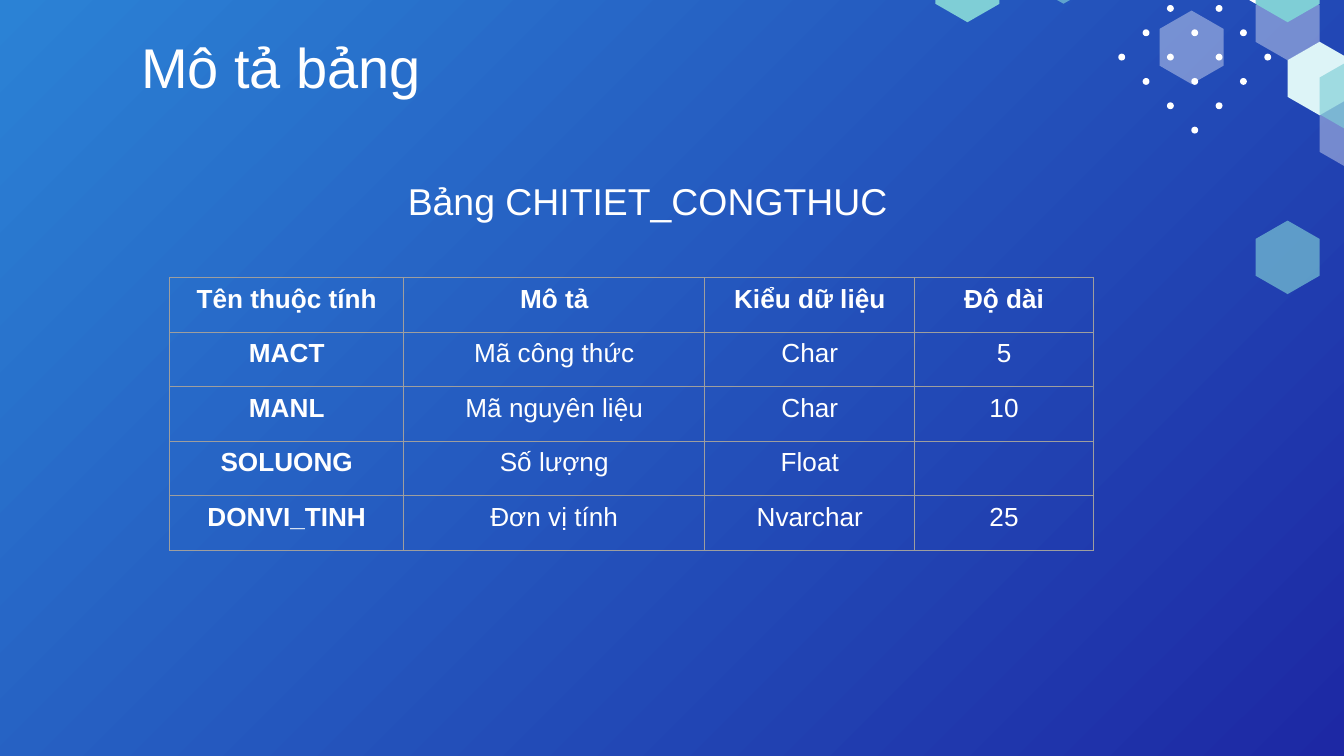
import pptx
import pptx.util
import pptx.dml.color
import pptx.enum.shapes
import pptx.enum.text
import pptx.oxml
import pptx.oxml.ns
from lxml import etree
from pptx.util import Cm

COLORS = {
    "sky": "2B82D5",
    "navy": "1D28A4",
    "white": "FFFFFF",
    "teal": "7FCED6",
    "ice": "DDF4F7",
    "border": "9E9E9E",
}
HEADERS = ["Tên thuộc tính", "Mô tả", "Kiểu dữ liệu", "Độ dài"]
ROWS = [
    ["MACT", "Mã công thức", "Char", "5"],
    ["MANL", "Mã nguyên liệu", "Char", "10"],
    ["SOLUONG", "Số lượng", "Float", ""],
    ["DONVI_TINH", "Đơn vị tính", "Nvarchar", "25"],
]
COL_WIDTHS = [4.42, 5.69, 3.97, 3.37]
HEXAGONS = [
    (10, -0.25, "white", 38),
    (9, -1.32, "white", 100),
    (3, -1.32, "teal", 65),
    (11, 0.79, "ice", 100),
    (12, 1.83, "white", 38),
    (7, 0.2, "white", 38),
    (10, -0.97, "teal", 100),
    (0, -0.97, "teal", 100),
    (12, 1.12, "teal", 65),
    (10, 4.17, "teal", 65),
]
FRAME = {
    "word_wrap": True,
    "auto_size": pptx.enum.text.MSO_AUTO_SIZE.NONE,
    "vertical_anchor": pptx.enum.text.MSO_ANCHOR.BOTTOM,
    "margin_left": Cm(0.25),
    "margin_right": Cm(0.25),
    "margin_top": Cm(0.25),
    "margin_bottom": Cm(0.25),
}


def rgb(name):
    return pptx.dml.color.RGBColor.from_string(COLORS[name])


def set_all(obj, values):
    for name, value in values.items():
        setattr(obj, name, value)


def write(tf, text, size, bold=False):
    p = tf.paragraphs[0]
    p.alignment = pptx.enum.text.PP_ALIGN.CENTER
    if text:
        r = p.add_run()
        r.text = text
        set_all(r.font, {"name": "Arial", "size": pptx.util.Pt(size), "bold": bold})
        r.font.color.rgb = rgb("white")


def paint_background(s):
    fill = s.background.fill
    fill.gradient()
    fill.gradient_angle = 315
    for stop, name in zip(fill.gradient_stops, ("sky", "navy")):
        stop.color.rgb = rgb(name)


def paint(sp, color, opacity=100):
    sp.shadow.inherit = False
    sp.fill.solid()
    sp.fill.fore_color.rgb = rgb(color)
    sp.line.fill.background()
    if opacity < 100:
        clr = sp._element.spPr.find(".//" + pptx.oxml.ns.qn("a:srgbClr"))
        etree.SubElement(clr, pptx.oxml.ns.qn("a:alpha"), val=str(opacity * 1000))


def add_dots(s):
    size, step = 0.13, 0.46
    for j in range(-2, 4):
        for i in range(-3, 4):
            if abs(i) + abs(j) in (1, 3):
                left, top = 22.58 + i * step - size / 2, 1.08 + j * step - size / 2
                sp = s.shapes.add_shape(pptx.enum.shapes.MSO_SHAPE.OVAL,
                                        Cm(left), Cm(top), Cm(size), Cm(size))
                paint(sp, "white")


def add_hexagon(s, column, top, color, opacity):
    half, height = 0.605, 1.39
    left = 17.68 + column * half
    corners = [(1, 0), (2, 0.25), (2, 0.75), (1, 1), (0, 0.75), (0, 0.25)]
    points = [(Cm(left + x * half), Cm(top + y * height)) for x, y in corners]
    builder = s.shapes.build_freeform(*points[0])
    builder.add_line_segments(points[1:], close=True)
    paint(builder.convert_to_shape(), color, opacity)


def add_border(cell):
    tcPr = cell._tc.get_or_add_tcPr()
    for n, side in enumerate(("lnL", "lnR", "lnT", "lnB")):
        ln = pptx.oxml.parse_xml(
            f'<a:{side} {pptx.oxml.ns.nsdecls("a")} w="9525"><a:solidFill>'
            f'<a:srgbClr val="{COLORS["border"]}"/></a:solidFill></a:{side}>')
        tcPr.insert(n, ln)


def add_attribute_table(s):
    data = [HEADERS] + ROWS
    height = 1.03
    table = s.shapes.add_table(len(data), len(HEADERS), Cm(3.21), Cm(5.25),
                               Cm(sum(COL_WIDTHS)), Cm(height * len(data))).table
    set_all(table, {"first_row": False, "horz_banding": False})
    for col, width in zip(table.columns, COL_WIDTHS):
        col.width = Cm(width)
    for i, values in enumerate(data):
        table.rows[i].height = Cm(height)
        for j, text in enumerate(values):
            cell = table.cell(i, j)
            cell.fill.background()
            add_border(cell)
            write(cell.text_frame, text, 14, bold=i == 0 or j == 0)


def place_text(sp, box, text, size):
    set_all(sp, dict(zip(("left", "top", "width", "height"), map(Cm, box))))
    set_all(sp.text_frame, FRAME)
    write(sp.text_frame, text, size)


def main():
    prs = pptx.Presentation()
    set_all(prs, {"slide_width": Cm(25.4), "slide_height": Cm(14.29)})
    s = prs.slides.add_slide(prs.slide_layouts[5])
    paint_background(s)
    add_dots(s)
    for hexagon in HEXAGONS:
        add_hexagon(s, *hexagon)
    place_text(s.shapes.title, (1.24, 0.56, 8.15, 1.57), "Mô tả bảng", 30)
    add_attribute_table(s)
    caption = s.shapes.add_textbox(0, 0, 0, 0)
    place_text(caption, (4.88, 2.9, 14.73, 1.57), "Bảng CHITIET_CONGTHUC", 20)
    prs.save("out.pptx")


if __name__ == "__main__":
    main()
